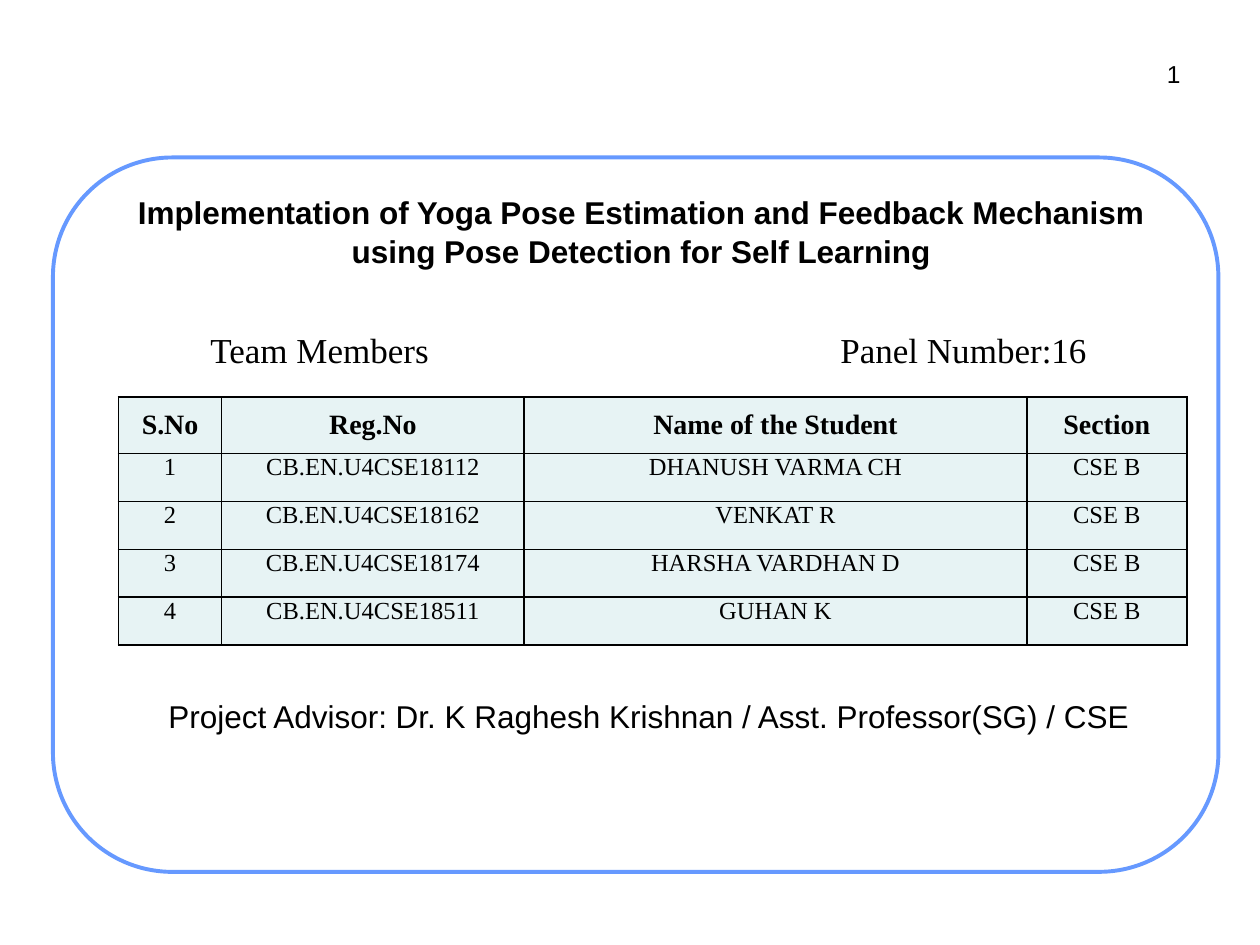
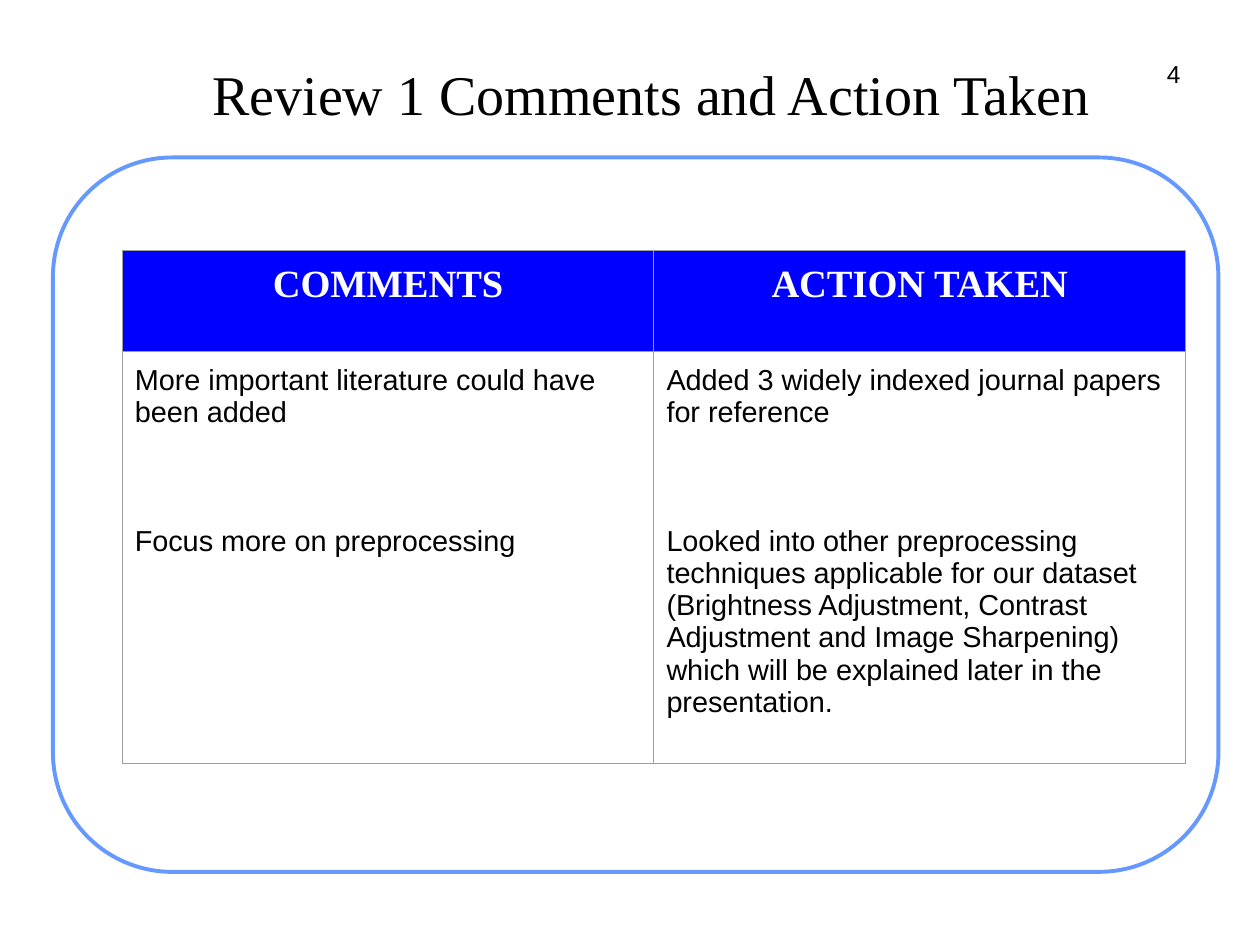
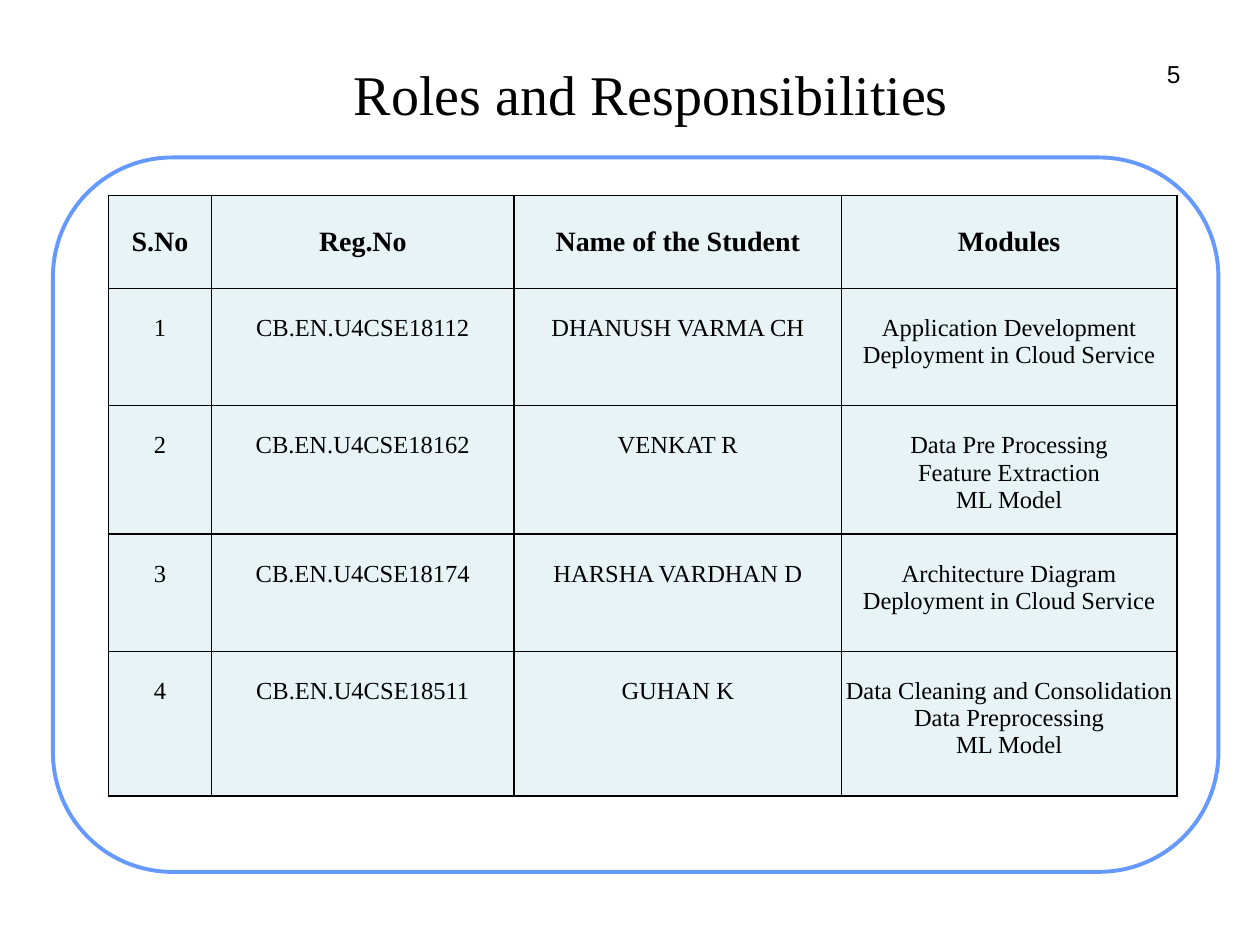
import dataclasses

import pptx
import pptx.dml.color
import pptx.enum.shapes
import pptx.enum.text
import pptx.oxml
import pptx.oxml.ns
import pptx.util

Inches = pptx.util.Inches
Pt = pptx.util.Pt
ALIGN = pptx.enum.text.PP_ALIGN
ANCHOR = pptx.enum.text.MSO_ANCHOR
SANS = "Arial"
SERIF = "Times New Roman"


@dataclasses.dataclass(frozen=True)
class TextStyle:
    name: str
    size: float
    bold: bool = False
    color: str = "000000"


@dataclasses.dataclass(frozen=True)
class Theme:
    white: str = "FFFFFF"
    frame_line: str = "6699FF"
    roster_fill: str = "E7F3F4"
    roster_line: str = "000000"
    review_fill: str = "0000FF"
    review_line: str = "9E9E9E"
    heading: TextStyle = TextStyle(SERIF, 32)
    project: TextStyle = TextStyle(SANS, 18, True)
    team: TextStyle = TextStyle(SERIF, 20)
    advisor: TextStyle = TextStyle(SANS, 18)
    number: TextStyle = TextStyle(SANS, 14)
    roster_head: TextStyle = TextStyle(SERIF, 16, True)
    roster_body: TextStyle = TextStyle(SERIF, 14)
    review_head: TextStyle = TextStyle(SERIF, 22, True, "FFFFFF")
    review_body: TextStyle = TextStyle(SANS, 16.5)


@dataclasses.dataclass(frozen=True)
class TableStyle:
    head: TextStyle
    body: TextStyle
    head_fill: str
    body_fill: str
    line: str
    line_width: float
    margin: float
    head_anchor: object
    body_align: object
    group_gap: float = 0


THEME = Theme()
ROSTER = TableStyle(THEME.roster_head, THEME.roster_body, THEME.roster_fill, THEME.roster_fill,
                    THEME.roster_line, 1, 0, ANCHOR.MIDDLE, ALIGN.CENTER)
REVIEW = TableStyle(THEME.review_head, THEME.review_body, THEME.review_fill, THEME.white,
                    THEME.review_line, 0.75, 0.1, ANCHOR.TOP, ALIGN.LEFT, 55.4)
HEADING_AREA = (0.67, 0.24, 9, 1)
PROJECT_AREA = (0.88, 1.33, 8.42, 1)

STUDENTS = [
    ("1", "CB.EN.U4CSE18112", "DHANUSH VARMA CH"),
    ("2", "CB.EN.U4CSE18162", "VENKAT R"),
    ("3", "CB.EN.U4CSE18174", "HARSHA VARDHAN D"),
    ("4", "CB.EN.U4CSE18511", "GUHAN K"),
]
STUDENT_HEAD = ("S.No", "Reg.No", "Name of the Student")
MODULES = [
    "Application Development\nDeployment in Cloud Service",
    "Data Pre Processing\nFeature Extraction\nML Model",
    "Architecture Diagram\nDeployment in Cloud Service",
    "Data Cleaning and Consolidation\nData Preprocessing\nML Model",
]
REVIEW_ROWS = [
    ("COMMENTS", "ACTION TAKEN"),
    ("More important literature could have been added\n\nFocus more on preprocessing",
     "Added 3 widely indexed journal papers for reference\n\n"
     "Looked into other preprocessing techniques applicable for our dataset\n"
     "(Brightness Adjustment, Contrast Adjustment and Image Sharpening) "
     "which will be explained later in the presentation."),
]


def apply(target, values):
    for name, value in values.items():
        setattr(target, name, value)


def rgb(color):
    return pptx.dml.color.RGBColor.from_string(color)


def margins(size):
    return {f"margin_{side}": Inches(size) for side in ("left", "top", "right", "bottom")}


def write(text_frame, text, style, align, group_gap=0, line_spacing=None):
    para = None
    for group_index, group in enumerate(text.split("\n\n")):
        for line_index, line in enumerate(group.split("\n")):
            para = text_frame.add_paragraph() if para else text_frame.paragraphs[0]
            starts_group = group_index > 0 and line_index == 0
            apply(para, {"alignment": align, "line_spacing": line_spacing,
                         "space_before": Pt(group_gap if starts_group else 0)})
            span = para.add_run()
            span.text = line
            apply(span.font, {"name": style.name, "size": Pt(style.size), "bold": style.bold})
            span.font.color.rgb = rgb(style.color)


def format_frame(text_frame, anchor):
    apply(text_frame, {"word_wrap": True, "vertical_anchor": anchor,
                       "auto_size": pptx.enum.text.MSO_AUTO_SIZE.NONE, **margins(0.05)})


def add_text(page, area, text, style, align, anchor=ANCHOR.MIDDLE):
    box = page.shapes.add_textbox(*map(Inches, area))
    format_frame(box.text_frame, anchor)
    write(box.text_frame, text, style, align)
    return box


def add_tab_stop(para, position):
    tabs = pptx.oxml.parse_xml(
        f'<a:tabLst {pptx.oxml.ns.nsdecls("a")}>'
        f'<a:tab pos="{Inches(position)}" algn="l"/></a:tabLst>')
    para._p.get_or_add_pPr().append(tabs)


def add_page(deck, layout, number, title, area=HEADING_AREA, style=THEME.heading, spacing=None):
    page = deck.slides.add_slide(layout)
    box = page.shapes.title
    apply(box, dict(zip(("left", "top", "width", "height"), map(Inches, area))))
    format_frame(box.text_frame, ANCHOR.MIDDLE)
    write(box.text_frame, title, style, ALIGN.CENTER, line_spacing=spacing)
    add_text(page, (9.2, 0.42, 0.22, 0.34), number, THEME.number, ALIGN.RIGHT, ANCHOR.TOP)
    return page


def move_frame_to_layout(page, layout):
    frame = page.shapes.add_shape(pptx.enum.shapes.MSO_SHAPE.ROUNDED_RECTANGLE,
                                  *map(Inches, (0.42, 1.25, 9.25, 5.67)))
    frame.adjustments[0] = 0.167
    frame.shadow.inherit = False
    frame.fill.solid()
    frame.fill.fore_color.rgb = rgb(THEME.white)
    frame.line.color.rgb = rgb(THEME.frame_line)
    frame.line.width = Pt(2.25)
    frame.element.nvSpPr.cNvPr.set("id", "99")
    layout.shapes.element.insert(2, frame.element)


def add_borders(cell, color, width):
    properties = cell._tc.get_or_add_tcPr()
    for side in ("lnL", "lnR", "lnT", "lnB"):
        properties.append(pptx.oxml.parse_xml(
            f'<a:{side} {pptx.oxml.ns.nsdecls("a")} w="{Pt(width)}"><a:solidFill>'
            f'<a:srgbClr val="{color}"/></a:solidFill></a:{side}>'))


def add_grid(page, left, top, widths, heights, rows, style, body_top=None):
    area = (left, top, sum(widths), sum(heights))
    table = page.shapes.add_table(len(rows), len(widths), *map(Inches, area)).table
    apply(table, {"first_row": False, "horz_banding": False})
    for column, width in zip(table.columns, widths):
        column.width = Inches(width)
    for row_index, (row, height, texts) in enumerate(zip(table.rows, heights, rows)):
        row.height = Inches(height)
        is_head = row_index == 0
        for cell, text in zip(row.cells, texts):
            apply(cell, {"vertical_anchor": style.head_anchor if is_head else ANCHOR.TOP,
                         **margins(style.margin)})
            if body_top and not is_head:
                cell.margin_top = Inches(body_top)
            add_borders(cell, style.line, style.line_width)
            cell.fill.solid()
            cell.fill.fore_color.rgb = rgb(style.head_fill if is_head else style.body_fill)
            write(cell.text_frame, text, style.head if is_head else style.body,
                  ALIGN.CENTER if is_head else style.body_align, style.group_gap)


def student_rows(last_head, last_values):
    return [(*STUDENT_HEAD, last_head)] + [
        (*student, value) for student, value in zip(STUDENTS, last_values)]


def main():
    deck = pptx.Presentation()
    apply(deck, {"slide_width": Inches(10), "slide_height": Inches(7.5)})
    layout = deck.slide_layouts.get_by_name("Title Only")

    cover = add_page(deck, layout, "1",
                     "Implementation of Yoga Pose Estimation and Feedback Mechanism "
                     "using Pose Detection for Self Learning",
                     PROJECT_AREA, THEME.project, 1.05)
    move_frame_to_layout(cover, layout)
    team = add_text(cover, (1.62, 2.57, 7.5, 0.4), "Team Members\tPanel Number:16",
                    THEME.team, ALIGN.LEFT)
    add_tab_stop(team.text_frame.paragraphs[0], 5)
    add_grid(cover, 0.94, 3.15, (0.82, 2.4, 3.99, 1.27), [0.45] + [0.38] * 4,
             student_rows("Section", ["CSE B"] * 4), ROSTER)
    add_text(cover, (1, 5.48, 8.3, 0.4),
             "Project Advisor: Dr. K Raghesh Krishnan / Asst. Professor(SG) / CSE",
             THEME.advisor, ALIGN.CENTER)

    review = add_page(deck, layout, "4", "Review 1 Comments and Action Taken")
    add_grid(review, 0.97, 1.99, (4.22, 4.22), (0.8, 3.27), REVIEW_ROWS, REVIEW)

    roles = add_page(deck, layout, "5", "Roles and Responsibilities")
    add_grid(roles, 0.86, 1.55, (0.82, 2.4, 2.6, 2.66), (0.74, 0.93, 1.02, 0.93, 1.15),
             student_rows("Modules", MODULES), ROSTER, body_top=0.21)

    deck.save("out.pptx")


if __name__ == "__main__":
    main()
